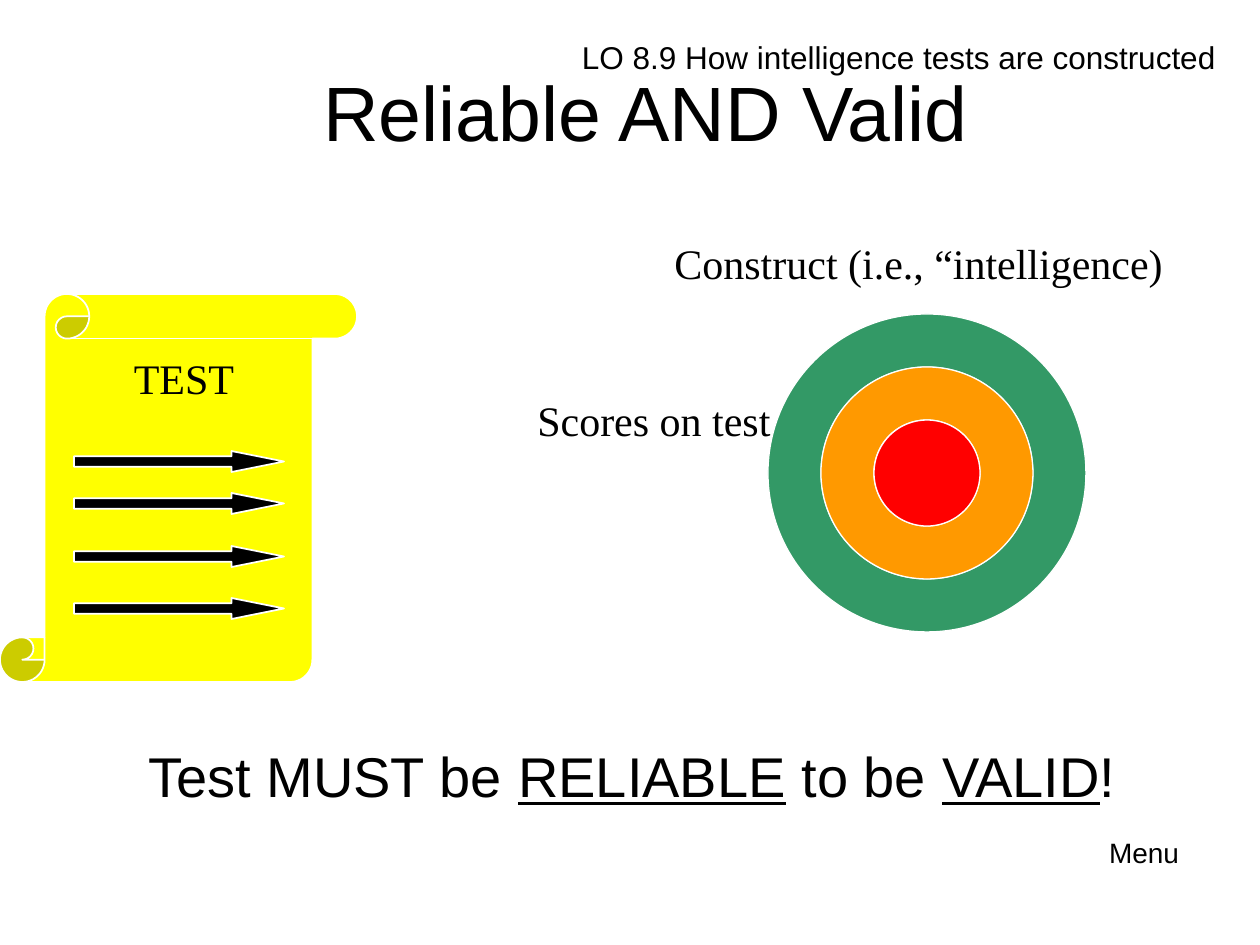
from pptx import Presentation
from pptx.dml.color import RGBColor
from pptx.enum.shapes import MSO_SHAPE
from pptx.enum.text import MSO_ANCHOR, MSO_AUTO_SIZE, PP_ALIGN
from pptx.util import Inches, Pt

SCALE = Inches(1) / 126


def px(*sizes):
    return [round(size * SCALE) for size in sizes]


def paint(item, fill, width):
    item.shadow.inherit = False
    item.fill.solid()
    item.fill.fore_color.rgb = RGBColor.from_string(fill)
    item.line.color.rgb = RGBColor.from_string("FFFFFF")
    item.line.width = Pt(width)


deck = Presentation()
deck.slide_width, deck.slide_height = px(1260, 945)
slide = deck.slides.add_slide(deck.slide_layouts[5])
shapes = slide.shapes

title = shapes.title
title.left, title.top, title.width, title.height = px(126, 32, 1040, 157)
title.text_frame.text = "Reliable AND Valid"
title.text_frame.vertical_anchor = MSO_ANCHOR.MIDDLE
head = title.text_frame.paragraphs[0]
head.alignment = PP_ALIGN.CENTER
head.font.size = Pt(44)
head.font.name = "Arial"
head.font.color.rgb = RGBColor.from_string("000000")

scroll = shapes.add_shape(MSO_SHAPE.VERTICAL_SCROLL, *px(0, 294, 357, 388))
paint(scroll, "FFFF00", 1)

target = shapes.add_group_shape()
rings = [
    (MSO_SHAPE.DONUT, 318, "339966", 0.167),
    (MSO_SHAPE.DONUT, 212, "FF9900", 0.25),
    (MSO_SHAPE.OVAL, 106, "FF0000", None),
]
for kind, size, fill, band in rings:
    ring = target.shapes.add_shape(
        kind, *px(927 - size // 2, 473 - size // 2, size, size))
    if band:
        ring.adjustments[0] = band
    paint(ring, fill, 0.75)

for top in (451, 493, 546, 598):
    arrow = shapes.add_shape(MSO_SHAPE.RIGHT_ARROW, *px(74, top, 210, 21))
    arrow.adjustments[1] = 2.5
    paint(arrow, "000000", 1)

SERIF, SANS = "Times New Roman", "Arial"
LEFT, MID, RIGHT = PP_ALIGN.LEFT, PP_ALIGN.CENTER, PP_ALIGN.RIGHT
labels = [
    ((63, 346, 242, 63), ["TEST"], SERIF, 24, 15, MID),
    ((662, 231, 598, 63), ["Construct (i.e., “intelligence)"], SERIF, 24, 15, LEFT),
    ((525, 388, 315, 63), ["Scores on test"], SERIF, 24, 15, LEFT),
    ((136, 735, 1071, 81),
     ["Test MUST be ", "RELIABLE", " to be ", "VALID", "!"], SANS, 32, 20, LEFT),
    ((126, 32, 1102, 108),
     ["LO 8.9 How intelligence tests are constructed"], SANS, 18, 11.2, RIGHT),
    ((1081, 829, 126, 47), ["Menu"], SANS, 16, 10, MID),
]
for place, parts, face, size, gap, align in labels:
    frame = shapes.add_textbox(*px(*place)).text_frame
    frame.word_wrap = True
    frame.auto_size = MSO_AUTO_SIZE.SHAPE_TO_FIT_TEXT
    line = frame.paragraphs[0]
    line.alignment = align
    line.space_before = Pt(gap)
    line.font.name = face
    line.font.size = Pt(size)
    line.font.color.rgb = RGBColor.from_string("000000")
    for spot, part in enumerate(parts):
        run = line.add_run()
        run.text = part
        if spot % 2:
            run.font.underline = True

deck.save("out.pptx")
